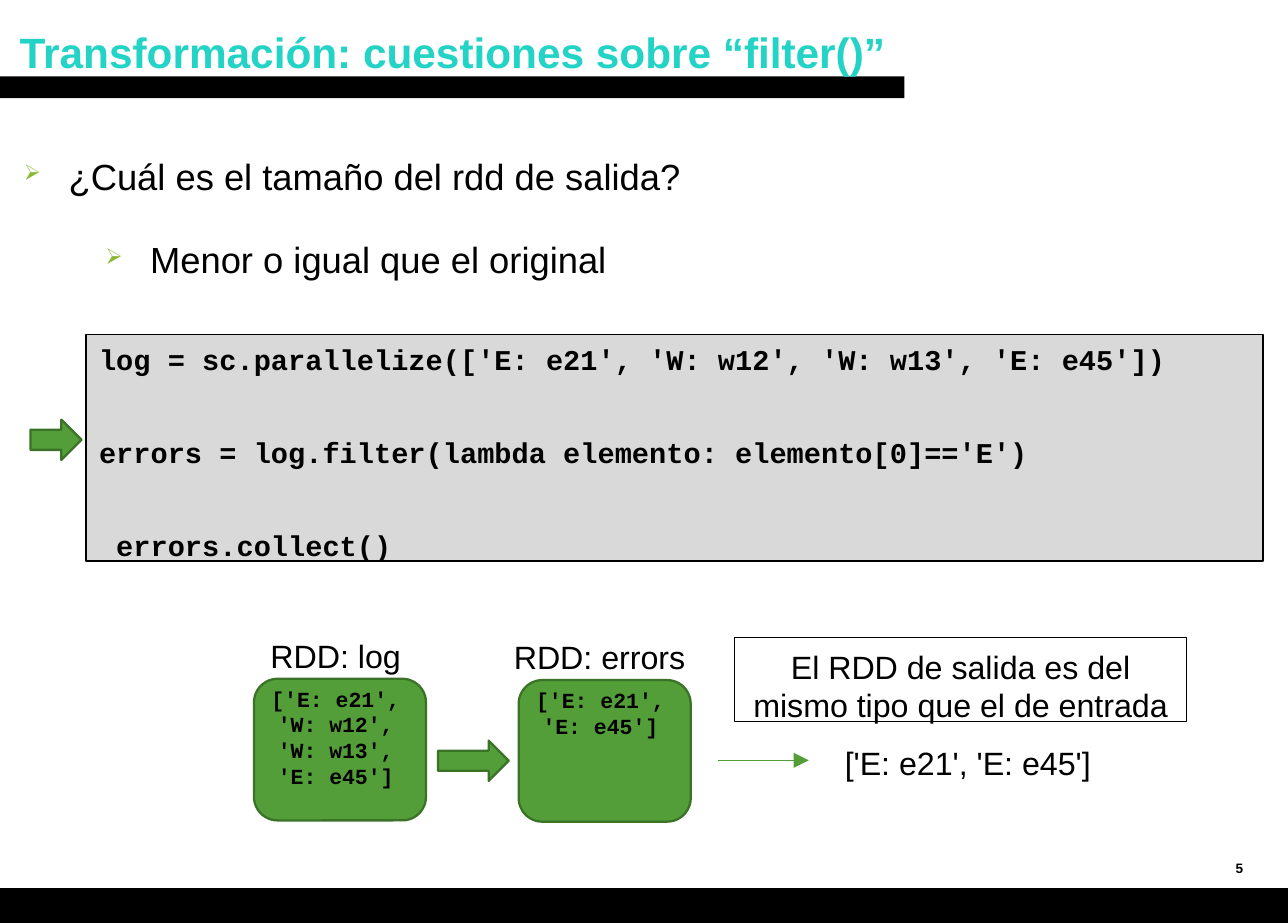
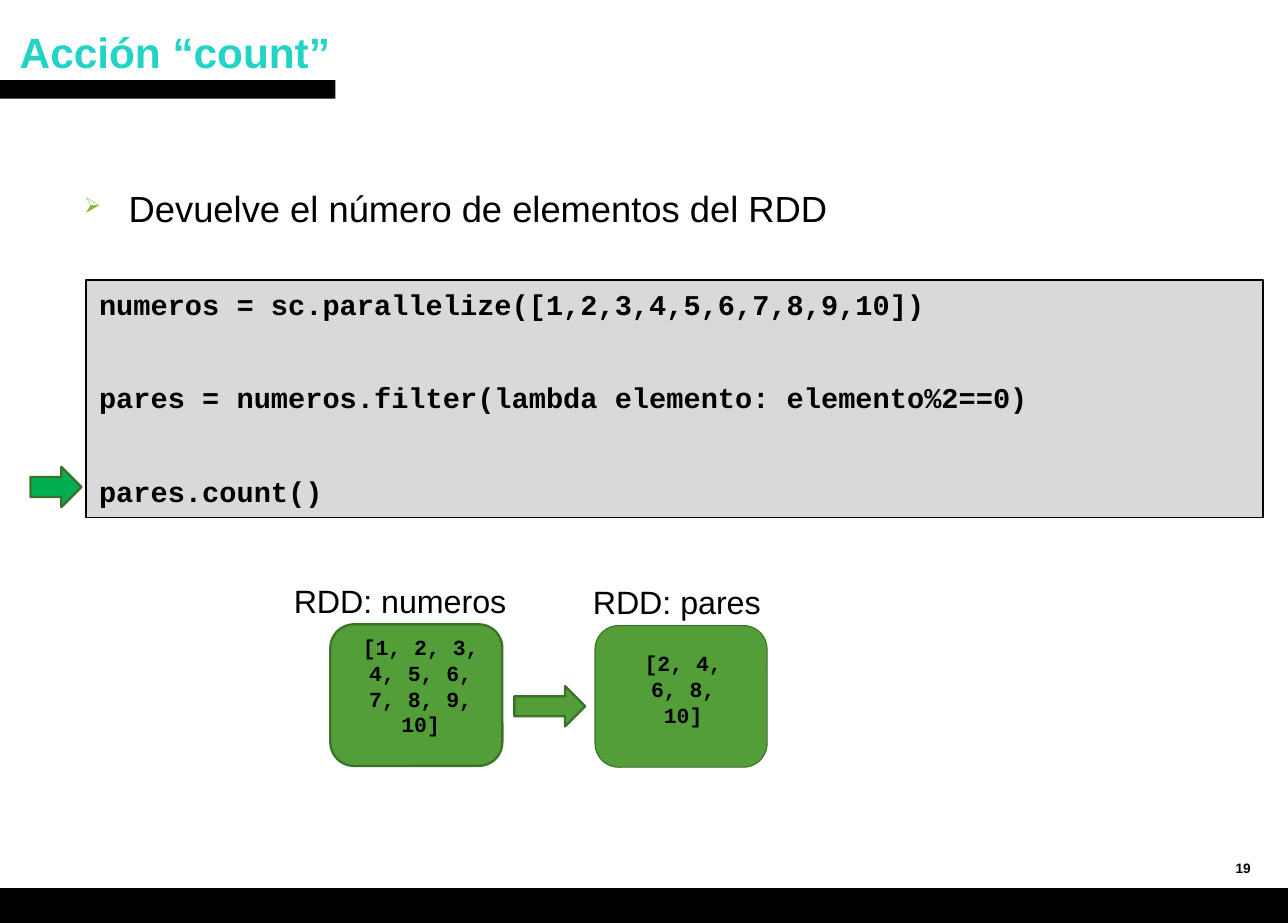
import dataclasses
import typing

import lxml.etree
import pptx
import pptx.dml.color
import pptx.enum.shapes
import pptx.enum.text
import pptx.oxml.ns
import pptx.util

Cm = pptx.util.Cm
Pt = pptx.util.Pt
KIND = pptx.enum.shapes.MSO_SHAPE
ALIGN = pptx.enum.text.PP_ALIGN

WIDTH, HEIGHT = 30.02, 21.51
BLACK, TEAL, GRAY = "000000", "22D3C6", "D9D9D9"
GREEN, EDGE, BRIGHT, LIME = "539E39", "3A7327", "00B050", "89B833"
SANS, MONO = "Arial", "Courier New"
NODE_W, NODE_H, NODE_STEP = 4.01, 3.3, 6.17
ARROW_H = 0.94


class Box(typing.NamedTuple):
    left: float
    top: float
    width: float
    height: float


@dataclasses.dataclass(frozen=True)
class Style:
    size: float
    font: str = SANS
    color: str = BLACK
    bold: bool = False
    align: typing.Any = ALIGN.LEFT
    pitch: float | None = None
    gap: float = 0


TITLE = Style(28, color=TEAL, bold=True)
NUMBER = Style(9, bold=True)
POINT = Style(24)
LABEL = Style(21.3)
CENTER = Style(21.3, align=ALIGN.CENTER)
CODE = Style(18.9, MONO, bold=True, pitch=22, gap=39.5)
DATA = Style(14.2, MONO, bold=True, align=ALIGN.CENTER, pitch=17)


@dataclasses.dataclass(frozen=True)
class Node:
    label: str
    data: str
    label_shift: float
    data_shift: float
    inset: float = 0
    weight: float = 1.5


def rgb(color: str) -> pptx.dml.color.RGBColor:
    return pptx.dml.color.RGBColor.from_string(color)


def add_xml(parent, tag: str, **attrs: str):
    return lxml.etree.SubElement(parent, pptx.oxml.ns.qn(tag), attrs)


def write(shape, text: str, style: Style, left: float = 0,
          top: float = 0, right: float = 0) -> None:
    frame = shape.text_frame
    frame.word_wrap = True
    frame.vertical_anchor = pptx.enum.text.MSO_ANCHOR.TOP
    frame.margin_left, frame.margin_top = Cm(left), Cm(top)
    frame.margin_right, frame.margin_bottom = Cm(right), Cm(0)
    frame.text = text
    for index, para in enumerate(frame.paragraphs):
        para.alignment = style.align
        if style.pitch:
            para.line_spacing = Pt(style.pitch)
        if index and style.gap:
            para.space_before = Pt(style.gap)
        for run in para.runs:
            run.font.name = style.font
            run.font.size = Pt(style.size)
            run.font.bold = style.bold
            run.font.color.rgb = rgb(style.color)


def add_text(slide, box: Box, text: str, style: Style):
    shape = slide.shapes.add_textbox(*map(Cm, box))
    write(shape, text, style)
    return shape


def add_shape(slide, kind, box: Box, fill: str | None,
              line: str | None = None, weight: float = 1.5):
    shape = slide.shapes.add_shape(kind, *map(Cm, box))
    shape.shadow.inherit = False
    if fill:
        shape.fill.solid()
        shape.fill.fore_color.rgb = rgb(fill)
    else:
        shape.fill.background()
    if line:
        shape.line.color.rgb = rgb(line)
        shape.line.width = Pt(weight)
    else:
        shape.line.fill.background()
    return shape


def add_point(slide, left: float, top: float, text: str) -> None:
    shape = add_text(slide, Box(left, top, 24, 1.1), text, POINT)
    props = shape.text_frame.paragraphs[0]._p.get_or_add_pPr()
    props.set("marL", str(Cm(1.09)))
    props.set("indent", str(Cm(-1.04)))
    add_xml(add_xml(props, "a:buClr"), "a:srgbClr", val=LIME)
    add_xml(props, "a:buSzPct", val="60000")
    add_xml(props, "a:buChar", char="➢")


def add_code(slide, top: float, height: float, text: str) -> None:
    box = Box(2.01, top, 27.43, height)
    shape = add_shape(slide, KIND.RECTANGLE, box, GRAY, BLACK, 1)
    write(shape, text, CODE, left=0.3, top=0.19)


def add_arrow(slide, left: float, top: float, width: float,
              fill: str = GREEN) -> None:
    box = Box(left, top, width, ARROW_H)
    add_shape(slide, KIND.RIGHT_ARROW, box, fill, EDGE)


def add_node(slide, left: float, top: float, node: Node) -> None:
    box = Box(left, top, NODE_W, NODE_H)
    shape = add_shape(slide, KIND.ROUNDED_RECTANGLE, box, GREEN, EDGE,
                      node.weight)
    write(shape, node.data, DATA, left=max(2 * node.data_shift, 0),
          top=node.inset, right=max(-2 * node.data_shift, 0))
    label_w = 6
    label_left = left + (NODE_W - label_w) / 2 + node.label_shift
    add_text(slide, Box(label_left, top - 1, label_w, 0.95), node.label, CENTER)


def add_flow(slide, left: float, top: float, source: Node, result: Node) -> None:
    add_node(slide, left, top, source)
    add_arrow(slide, left + NODE_W + 0.28, top + 1.44, 1.65)
    add_node(slide, left + NODE_STEP, top + 0.03, result)


def add_line(slide, left: float, right: float, top: float) -> None:
    line = slide.shapes.add_connector(
        pptx.enum.shapes.MSO_CONNECTOR.STRAIGHT,
        Cm(left), Cm(top), Cm(right), Cm(top))
    line.line.color.rgb = rgb(GREEN)
    line.line.width = Pt(1)
    add_xml(line.line._get_or_add_ln(), "a:tailEnd",
            type="triangle", w="lg", len="lg")
    add_xml(line._element.spPr, "a:effectLst")


def add_slide(deck, title: str, number: str, bar: Box):
    slide = deck.slides.add_slide(deck.slide_layouts[6])
    band = Box(0, 20.7, WIDTH, HEIGHT - 20.7)
    for box in (band, bar):
        add_shape(slide, KIND.RECTANGLE, box, BLACK)
    add_text(slide, Box(0.46, 0.6, 24, 1.2), title, TITLE)
    add_text(slide, Box(28.8, 20.03, 1, 0.4), number, NUMBER)
    return slide


def add_filter(deck) -> None:
    slide = add_slide(deck, "Transformación: cuestiones sobre “filter()”", "5",
                      Box(0, 1.78, 21.08, 0.51))
    add_point(slide, 0.51, 3.59, "¿Cuál es el tamaño del rdd de salida?")
    add_point(slide, 2.41, 5.53, "Menor o igual que el original")
    add_code(slide, 7.8, 5.28,
             "log = sc.parallelize(['E: e21', 'W: w12', 'W: w13', 'E: e45'])\n"
             "errors = log.filter(lambda elemento: elemento[0]=='E')\n"
             " errors.collect()")
    add_arrow(slide, 0.71, 9.78, 1.19)
    add_flow(slide, 5.92, 15.82,
             Node("RDD: log", "['E: e21',\n'W: w12',\n'W: w13',\n'E: e45']",
                  -0.1, -0.1),
             Node("RDD: errors", "['E: e21',\n'E: e45']", -0.12, -0.1))
    add_line(slide, 16.74, 18.85, 17.72)
    add_text(slide, Box(19.69, 17.33, 7, 0.95), "['E: e21', 'E: e45']", LABEL)
    note = add_shape(slide, KIND.RECTANGLE, Box(17.12, 14.86, 10.54, 1.95),
                     None, BLACK, 0.8)
    write(note, "El RDD de salida es del mismo tipo que el de entrada",
          CENTER, left=0.3, top=0.22, right=0.3)


def add_count(deck) -> None:
    slide = add_slide(deck, "Acción “count”", "19", Box(0, 1.87, 7.82, 0.43))
    add_point(slide, 1.91, 4.34, "Devuelve el número de elementos del RDD")
    add_code(slide, 6.53, 5.53,
             "numeros = sc.parallelize([1,2,3,4,5,6,7,8,9,10])\n"
             "pares = numeros.filter(lambda elemento: elemento%2==0)\n"
             "pares.count()")
    add_arrow(slide, 0.71, 10.88, 1.19, BRIGHT)
    add_flow(slide, 7.7, 14.55,
             Node("RDD: numeros", "[1, 2, 3,\n4, 5, 6,\n7, 8, 9,\n10]",
                  -0.38, 0.1, 0.07),
             Node("RDD: pares", "[2, 4,\n6, 8,\n10]", -0.1, 0.05, 0.41, 0.75))


def main() -> None:
    deck = pptx.Presentation()
    deck.slide_width, deck.slide_height = Cm(WIDTH), Cm(HEIGHT)
    add_filter(deck)
    add_count(deck)
    deck.save("out.pptx")


if __name__ == "__main__":
    main()
